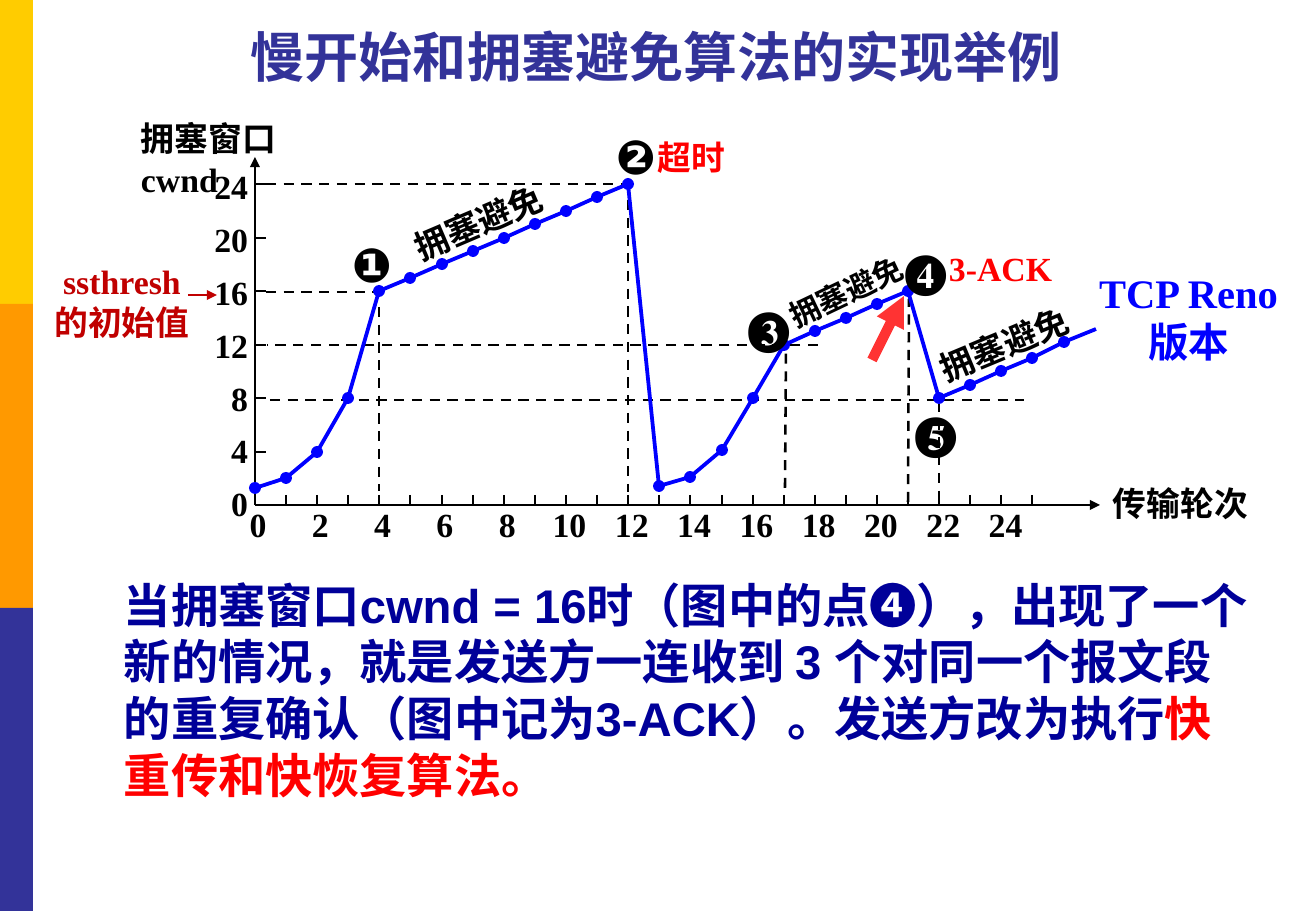
from lxml import etree
from pptx import Presentation
from pptx.dml.color import RGBColor
from pptx.enum.dml import MSO_LINE
from pptx.enum.shapes import MSO_CONNECTOR, MSO_SHAPE
from pptx.enum.text import MSO_ANCHOR, PP_ALIGN
from pptx.oxml.ns import qn
from pptx.util import Emu, Pt

LEFT, CENTER, RIGHT = PP_ALIGN.LEFT, PP_ALIGN.CENTER, PP_ALIGN.RIGHT
TOP, MIDDLE = MSO_ANCHOR.TOP, MSO_ANCHOR.MIDDLE
STRAIGHT, DASH = MSO_CONNECTOR.STRAIGHT, MSO_LINE.DASH
RECTANGLE, OVAL = MSO_SHAPE.RECTANGLE, MSO_SHAPE.OVAL
EMU_PER_PIXEL = 914400 / 121.5
SERIF, SANS, TITLE_FONT = "Times New Roman", "Arial", "Roboto"
COLORS = {
    "yellow": "FFCC00", "orange": "FF9900", "indigo": "333399", "navy": "000099",
    "blue": "0000FF", "red": "FF0000", "dark red": "C00000", "black": "000000",
}

SIDE_BARS = ["yellow", "orange", "indigo"]
WINDOW_BY_ROUND = [
    1.3, 2, 4, 8, 16, 17, 18, 19, 20, 21, 22, 23, 24,
    1.4, 2.1, 4.1, 8, 12, 13, 14, 15, 16,
    8, 9, 10, 11, 12.2,
]
CURVE_END = (1096, 329)
WINDOW_LABELS = range(0, 25, 4)
ROUND_LABELS = range(0, 25, 2)
GUIDES = [
    ((266, 184), (629, 184)), ((266, 292), (379, 292)),
    ((818, 345), (267, 345)), ((270, 400), (1024, 400)),
    ((379, 307), (379, 491)), ((628, 200), (628, 492)),
    ((785, 488), (786, 350)), ((908, 502), (909, 299)),
    ((939, 402), (939, 495)),
]
BADGES = [
    ("❶", (340, 239, 58, 49), SANS, MIDDLE), ("❷", (604, 136, 49, 40), SANS, MIDDLE),
    ("❸", (736, 292, 67, 69), SERIF, TOP), ("❹", (893, 235, 67, 69), SERIF, TOP),
    ("❺", (903, 397, 67, 69), SERIF, TOP),
]
AVOIDANCE = "拥塞避免"
AVOIDANCE_LABELS = [
    ((397, 196, 162, 53), 20, 336.8), ((772, 267, 148, 49), 18, 334.5),
    ((923, 318, 162, 53), 20, 337.4),
]
NOTES = [
    (["拥塞窗口", "cwnd"], (129, 112, 256, 94), 20, "black", LEFT),
    (["传输轮次"], (1101, 477, 162, 53), 20, "black", LEFT),
    (["超时"], (646, 131, 154, 53), 20, "red", LEFT),
    (["3-ACK"], (937, 242, 157, 53), 20, "red", LEFT),
    (["TCP Reno", "版本"], (1080, 262, 217, 111), 24, "blue", CENTER),
    (["ssthresh", "的初始值"], (36, 255, 172, 94), 20, "dark red", CENTER),
]
TITLE = "慢开始和拥塞避免算法的实现举例"
EXPLANATION = [
    ("当拥塞窗口cwnd = 16时（图中的点❹），出现了一个新的情况，就是发送方一连收到 3 "
     "个对同一个报文段的重复确认（图中记为3-ACK）。发送方改为执行", "navy"),
    ("快重传和快恢复算法。", "red"),
]

ORIGIN_X, ORIGIN_Y = 255, 505
ROUND_STEP, WINDOW_STEP = 31.1, 13.37
DOT = 12

presentation = Presentation()
presentation.slide_width = Emu(round(1316 * EMU_PER_PIXEL))
presentation.slide_height = Emu(round(911 * EMU_PER_PIXEL))
slide = presentation.slides.add_slide(presentation.slide_layouts[6])
shapes = slide.shapes


def emu(*pixels):
    return [Emu(round(pixel * EMU_PER_PIXEL)) for pixel in pixels]


def rgb(name):
    return RGBColor.from_string(COLORS[name])


def plot(round_number, window):
    return (round(ORIGIN_X + ROUND_STEP * round_number),
            round(ORIGIN_Y - WINDOW_STEP * window))


def add_filled(kind, box, color):
    shape = shapes.add_shape(kind, *emu(*box))
    shape.shadow.inherit = False
    shape.fill.solid()
    shape.fill.fore_color.rgb = rgb(color)
    shape.line.fill.background()


def add_line(start, end, color="black", width=1.5, dash=None, arrow=False, opacity=None):
    connector = shapes.add_connector(STRAIGHT, *emu(*start, *end))
    line = connector.line
    line.color.rgb = rgb(color)
    line.width = Pt(width)
    if dash:
        line.dash_style = dash
    properties = connector._element.spPr
    outline = properties.find(qn("a:ln"))
    if opacity:
        color_element = outline.find(f".//{qn('a:srgbClr')}")
        etree.SubElement(color_element, qn("a:alpha"), val=str(opacity * 1000))
    if arrow:
        etree.SubElement(outline, qn("a:tailEnd"), type="triangle")
    etree.SubElement(properties, qn("a:effectLst"))


def add_text(paragraphs, box, size, color="black", align=LEFT, font=SERIF,
             anchor=TOP, rotation=0, wrap=False):
    text_box = shapes.add_textbox(*emu(*box))
    text_box.rotation = rotation
    frame = text_box.text_frame
    frame.word_wrap = wrap
    frame.vertical_anchor = anchor
    frame.text = "\n".join(paragraphs)
    for paragraph in frame.paragraphs:
        paragraph.alignment = align
        paragraph.font.name = font
        paragraph.font.size = Pt(size)
        paragraph.font.bold = True
        paragraph.font.color.rgb = rgb(color)
    return frame


for index, color in enumerate(SIDE_BARS):
    add_filled(RECTANGLE, (0, 304 * index, 33, 304), color)
add_text([TITLE], (49, 21, 1215, 70), 32, "indigo", CENTER, TITLE_FONT, MIDDLE, wrap=True)

add_line((ORIGIN_X, ORIGIN_Y), (1100, ORIGIN_Y), arrow=True)
add_line((ORIGIN_X, ORIGIN_Y), (ORIGIN_X, 157), arrow=True)
for round_number in range(1, 26):
    x, y = plot(round_number, 0)
    add_line((x, y - 10), (x, y), width=0.75)
for index, window in enumerate(WINDOW_LABELS):
    x, y = plot(0, window)
    if window:
        add_line((x, y), (x + 11, y), width=0.75)
    add_text([str(window)], (202, 477 - 52.8 * index, 58, 53), 20, align=RIGHT, wrap=True)
for index, round_number in enumerate(ROUND_LABELS):
    add_text([str(round_number)], (229 + 62.3 * index, 498, 58, 53), 20,
             align=CENTER, wrap=True)

for start, end in GUIDES:
    add_line(start, end, dash=DASH)

points = [plot(*pair) for pair in enumerate(WINDOW_BY_ROUND)]
builder = shapes.build_freeform(*points[0], scale=EMU_PER_PIXEL)
builder.add_line_segments(points[1:] + [CURVE_END], close=False)
curve = builder.convert_to_shape()
curve.shadow.inherit = False
curve.fill.background()
curve.line.color.rgb = rgb("blue")
curve.line.width = Pt(2.25)
for x, y in points:
    add_filled(OVAL, (x - DOT / 2, y - DOT / 2, DOT, DOT), "blue")

for badge, box, font, anchor in BADGES:
    add_text([badge], box, 28, font=font, anchor=anchor)
for box, size, rotation in AVOIDANCE_LABELS:
    add_text([AVOIDANCE], box, size, align=CENTER, rotation=rotation)
for paragraphs, box, size, color, align in NOTES:
    add_text(paragraphs, box, size, color, align, wrap=True)
add_line((188, 295), (217, 295), "dark red", arrow=True)
add_line((872, 360), (904, 296), "red", 6, arrow=True, opacity=80)

explanation = add_text([""], (112, 570, 1151, 242), 28, "navy", font=SANS, wrap=True)
for text, color in EXPLANATION:
    run = explanation.paragraphs[0].add_run()
    run.text = text
    run.font.color.rgb = rgb(color)

presentation.save("out.pptx")
